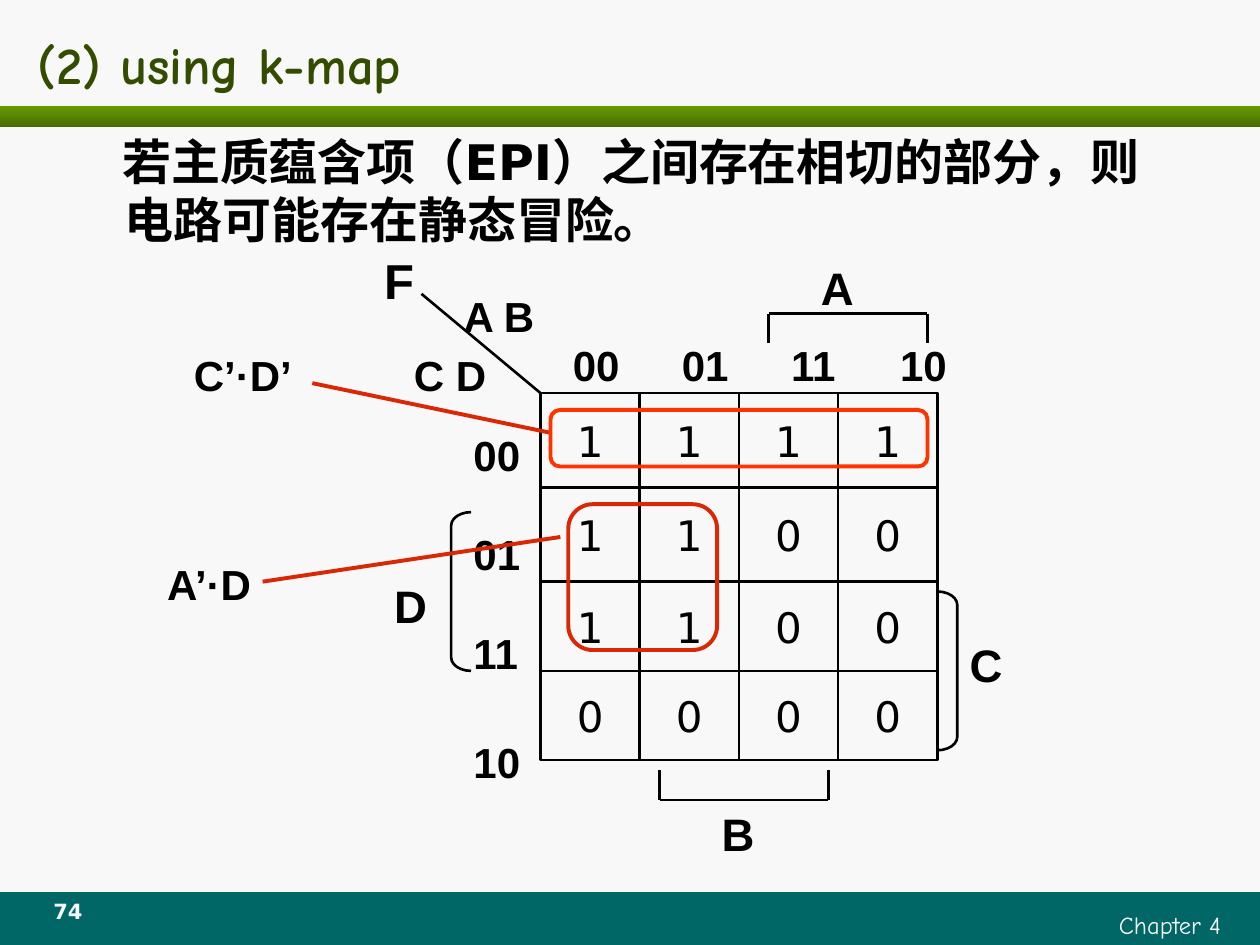
from lxml import etree
from pptx import Presentation
from pptx import util as u
from pptx.dml.color import RGBColor
from pptx.enum import shapes as sh
from pptx.enum import text as tx
from pptx.oxml.ns import qn

BLACK, WHITE, RED, ORANGE = "000000", "F8F8F8", "DA2804", "FF3300"
GREEN, DARK_GREEN, TITLE_GREEN, TEAL = "669900", "496D00", "334C00", "006666"
ARIAL, COMIC, DEJAVU = "Arial", "Comic Neue", "DejaVu Sans"
LEFT, CENTER, RIGHT = tx.PP_ALIGN.LEFT, tx.PP_ALIGN.CENTER, tx.PP_ALIGN.RIGHT
CODES = ["00", "01", "11", "10"]
VALUES = ["1111", "1100", "1100", "0000"]
ROW_HEIGHTS = [0.95, 0.95, 0.9, 0.9]


def colour(value):
    return RGBColor.from_string(value)


def inches(*lengths):
    return [u.Inches(length) for length in lengths]


def write(frame, words, size, face, ink=BLACK, bold=True, align=LEFT):
    frame.word_wrap = True
    paragraph = frame.paragraphs[0]
    paragraph.text = words
    paragraph.alignment = align
    font = paragraph.font
    font.size, font.name, font.bold = u.Pt(size), face, bold
    font.color.rgb = colour(ink)
    return paragraph


def text_box(slide, box, words, size, face, **style):
    frame = slide.shapes.add_textbox(*inches(*box)).text_frame
    write(frame, words, size, face, **style)


def outline(slide, preset, box, ink=BLACK, width=1.5):
    shape = slide.shapes.add_shape(preset, *inches(*box))
    shape.shadow.inherit = False
    shape.fill.background()
    shape.line.color.rgb = colour(ink)
    shape.line.width = u.Pt(width)
    return shape


def line(slide, start, end, ink=BLACK, width=1.5):
    connector = slide.shapes.add_connector(
        sh.MSO_CONNECTOR.STRAIGHT, *inches(*start, *end))
    connector.line.color.rgb = colour(ink)
    connector.line.width = u.Pt(width)
    etree.SubElement(connector.element.spPr, qn("a:effectLst"))


def place(placeholder, box):
    (placeholder.left, placeholder.top,
     placeholder.width, placeholder.height) = inches(*box)
    placeholder.text_frame.auto_size = tx.MSO_AUTO_SIZE.NONE
    return placeholder.text_frame


def band(slide, box):
    bar = slide.shapes.add_shape(sh.MSO_SHAPE.RECTANGLE, *inches(*box))
    bar.shadow.inherit = False
    bar.line.fill.background()
    return bar


def header(slide, width):
    fill = band(slide, (0, 0.84, width, 0.17)).fill
    fill.gradient()
    fill.gradient_angle = 270
    for stop, position, shade in zip(fill.gradient_stops, (0, 1), (GREEN, DARK_GREEN)):
        stop.position = position
        stop.color.rgb = colour(shade)
    frame = place(slide.shapes.title, (0.2, 0.21, width - 0.45, 0.59))
    frame.vertical_anchor = tx.MSO_ANCHOR.MIDDLE
    write(frame, "(2) using k-map", 30, COMIC, TITLE_GREEN)


def statement(slide, box):
    frame = place(slide.placeholders[1], box)
    frame.vertical_anchor = tx.MSO_ANCHOR.TOP
    properties = frame.paragraphs[0]._p.get_or_add_pPr()
    properties.set("marL", str(u.Inches(0.38)))
    properties.set("indent", str(u.Inches(-0.02)))
    etree.SubElement(properties, qn("a:buNone"))
    paragraph = write(
        frame, "若主质蕴含项（EPI）之间存在相切的部分，则电路可能存在静态冒险。", 28, DEJAVU)
    paragraph.space_before = u.Pt(0)


def footer(slide, left, top, width, height):
    bar = band(slide, (left, top, width, height))
    bar.fill.solid()
    bar.fill.fore_color.rgb = colour(TEAL)
    text_box(slide, (left + 0.579 * width, top + 0.09, 0.4 * width, 0.33),
             "Chapter 4", 14, COMIC, ink=WHITE, bold=False, align=RIGHT)
    text_box(slide, (left + 0.025 * width, top, 0.058 * width, 0.33),
             "74", 12, DEJAVU, ink=WHITE, align=CENTER)


def karnaugh_map(slide, left, top, width):
    unit = width / 4

    def at(column, row):
        return left + column * unit, top + row * unit

    def area(column, row, columns, rows):
        return *at(column, row), columns * unit, rows * unit

    def label(words, column, row, columns=0.8, size=24, align=LEFT):
        text_box(slide, area(column, row, columns, 0.65), words, size, ARIAL, align=align)

    def square_bracket(first, last, base, tips):
        for column in (first, last):
            line(slide, at(column, base), at(column, tips))
        line(slide, at(first, base), at(last, base))

    for row, (digits, height) in enumerate(zip(VALUES, ROW_HEIGHTS)):
        for column, digit in enumerate(digits):
            cell = outline(slide, sh.MSO_SHAPE.RECTANGLE,
                           area(column, sum(ROW_HEIGHTS[:row]), 1, height))
            cell.text_frame.vertical_anchor = tx.MSO_ANCHOR.MIDDLE
            write(cell.text_frame, digit, 24, DEJAVU, bold=False, align=CENTER)

    for index, (code, row) in enumerate(zip(CODES, (0.3, 1.3, 2.3, 3.4))):
        label(code, 0.2 + 1.1 * index, -0.6)
        label(code, -0.8, row)

    line(slide, at(0, 0), at(-1.2, -1))
    label("F", -1.7, -1.5, 0.7, size=28)
    label("A B", -0.9, -1.1, 1)
    label("C D", -1.4, -0.5, 1.1)

    square_bracket(2.3, 3.9, -0.8, -0.5)
    square_bracket(1.2, 2.9, 4.1, 3.8)
    for preset, column, row in ((sh.MSO_SHAPE.RIGHT_BRACKET, 4, 2),
                                (sh.MSO_SHAPE.LEFT_BRACKET, -0.9, 1.2)):
        bracket = outline(slide, preset, area(column, row, 0.2, 1.6))
        bracket.adjustments[0] = 0.67
    for variable, column, row in (("A", 2.7, -1.4), ("B", 1.7, 4.1),
                                  ("C", 4.2, 2.4), ("D", -1.6, 1.8)):
        label(variable, column, row, size=26)

    line(slide, at(-2.3, -0.1), at(0.1, 0.4), RED, 2.25)
    line(slide, at(-2.8, 1.9), at(0.2, 1.45), RED, 2.25)
    for box, ink in (((0.1, 0.17, 3.8, 0.57), ORANGE), ((0.28, 1.12, 1.5, 1.47), RED)):
        outline(slide, sh.MSO_SHAPE.ROUNDED_RECTANGLE, area(*box), ink, 2.25)
    label("C’·D’", -3.7, -0.5, 1.4, align=CENTER)
    label("A’·D", -4.17, 1.6, 1.66, align=CENTER)


def main():
    deck = Presentation()
    deck.slide_width, deck.slide_height = inches(10, 7.5)
    slide = deck.slides.add_slide(deck.slide_layouts[1])
    slide.background.fill.solid()
    slide.background.fill.fore_color.rgb = colour(WHITE)
    header(slide, 10)
    statement(slide, (0.51, 0.99, 9, 1.81))
    footer(slide, 0, 7.08, 10, 0.42)
    karnaugh_map(slide, 4.29, 3.12, 3.15)
    deck.save("out.pptx")


if __name__ == "__main__":
    main()
